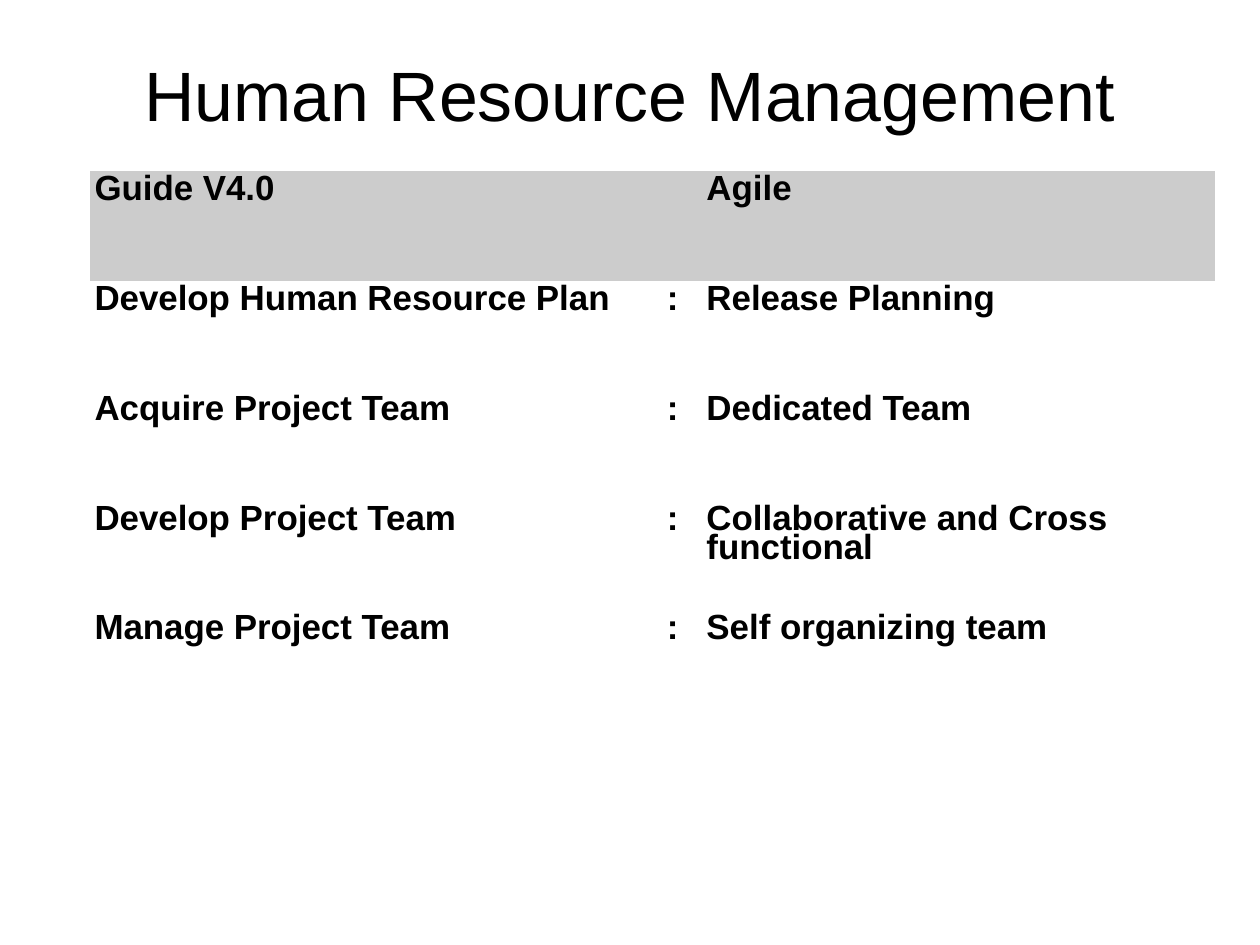
from pptx import Presentation
from pptx.dml.color import RGBColor
from pptx.enum.text import MSO_ANCHOR, PP_ALIGN
from pptx.util import Cm, Pt

CENTER, LEFT = PP_ALIGN.CENTER, PP_ALIGN.LEFT
MIDDLE = MSO_ANCHOR.MIDDLE

BLACK = RGBColor(0x00, 0x00, 0x00)
WHITE = RGBColor(0xFF, 0xFF, 0xFF)
HEADER_GREY = RGBColor(0xCC, 0xCC, 0xCC)

FONT = "Arial"
NO_GRID_STYLE = "{2D5ABB26-0587-4C30-8999-92F81FD0307C}"
TITLE_ONLY = 5

COLUMN_WIDTHS = (12.3, 1.3, 11.4)
COLUMN_ALIGNMENTS = (LEFT, CENTER, LEFT)
ROWS = (
    ("Guide V4.0", "", "Agile"),
    ("Develop Human Resource Plan", ":", "Release Planning"),
    ("Acquire Project Team", ":", "Dedicated Team"),
    ("Develop Project Team", ":", "Collaborative and Cross functional"),
    ("Manage Project Team", ":", "Self organizing team"),
)


def format_paragraph(para, size, bold, alignment, line_spacing):
    para.alignment = alignment
    para.line_spacing = line_spacing
    para.font.name = FONT
    para.font.size = Pt(size)
    para.font.bold = bold
    para.font.color.rgb = BLACK


def place_title(page, text, left, top, width, height):
    title = page.shapes.title
    title.left, title.top, title.width, title.height = left, top, width, height
    frame = title.text_frame
    frame.text = text
    frame.word_wrap = True
    frame.vertical_anchor = MIDDLE
    frame.margin_left = frame.margin_right = frame.margin_bottom = 0
    frame.margin_top = Cm(0.1)
    format_paragraph(frame.paragraphs[0], 44, False, CENTER, 0.93)


def fill_cell(cell, text, background, alignment):
    cell.fill.solid()
    cell.fill.fore_color.rgb = background
    cell.margin_left = cell.margin_right = Cm(0.1)
    cell.margin_top = cell.margin_bottom = Cm(0.13)
    cell.text = text
    format_paragraph(cell.text_frame.paragraphs[0], 22, True, alignment, 0.76)


def place_comparison(page, left, top, width, height):
    table = page.shapes.add_table(
        len(ROWS), len(COLUMN_WIDTHS), left, top, width, height).table
    # Plain table without bands or grid lines
    table.first_row = table.horz_banding = False
    table._tbl.tblPr[0].text = NO_GRID_STYLE

    for column, share in zip(table.columns, COLUMN_WIDTHS):
        column.width = int(width * share / sum(COLUMN_WIDTHS))

    # Grey header row, white rows below
    for row_index, texts in enumerate(ROWS):
        background = WHITE if row_index else HEADER_GREY
        for column_index, text in enumerate(texts):
            fill_cell(table.cell(row_index, column_index), text, background,
                      COLUMN_ALIGNMENTS[column_index])


def main():
    deck = Presentation()
    deck.slide_width, deck.slide_height = Cm(28), Cm(21)
    page = deck.slides.add_slide(deck.slide_layouts[TITLE_ONLY])
    place_title(page, "Human Resource Management",
                Cm(1.4), Cm(0.84), Cm(25.2), Cm(2.57))
    place_comparison(page, Cm(2), Cm(3.8), Cm(25), Cm(12.2))
    deck.save("out.pptx")


if __name__ == "__main__":
    main()
